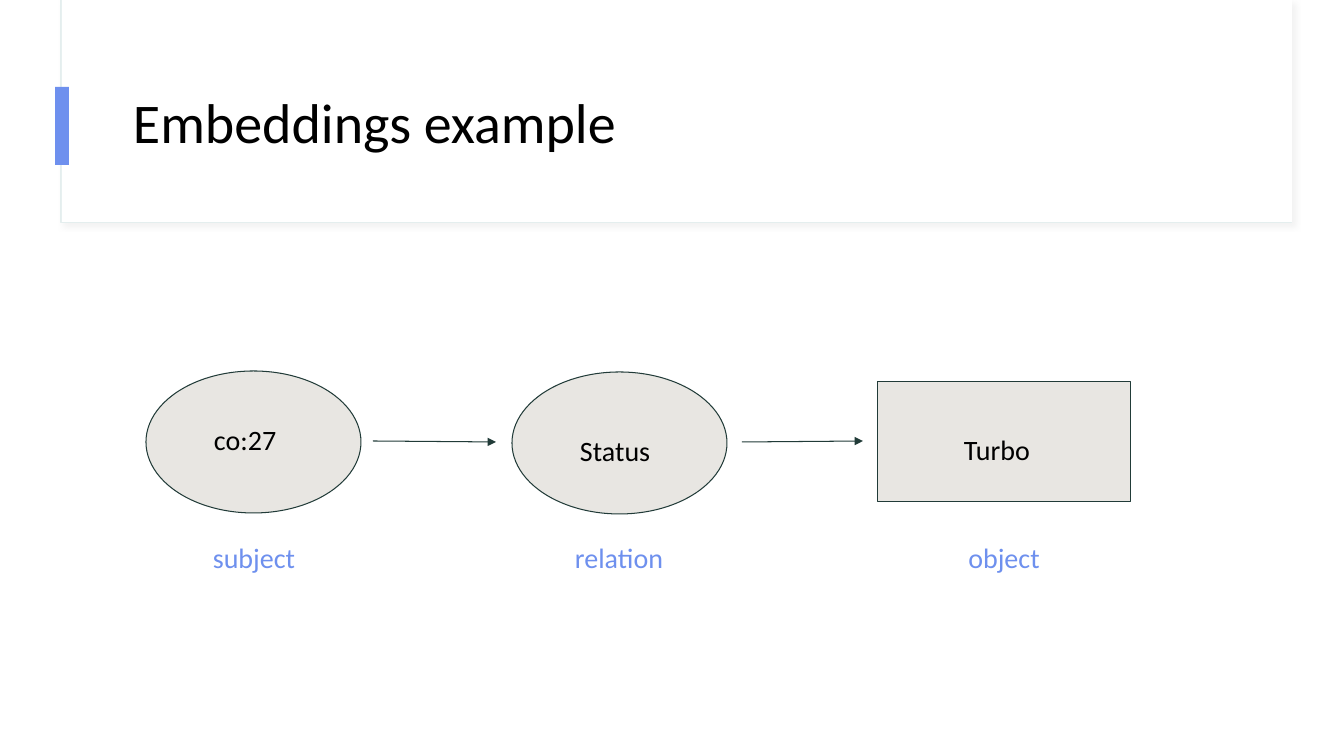
from lxml.etree import SubElement
from pptx import Presentation
from pptx.dml.color import RGBColor
from pptx.enum.shapes import MSO_CONNECTOR, MSO_SHAPE
from pptx.enum.text import MSO_ANCHOR, PP_ALIGN
from pptx.oxml import parse_xml
from pptx.oxml.ns import nsdecls, qn
from pptx.util import Pt

# Content: lengths in px
SCALE = 914400 / 100.8
BLACK, BLUE, DARK, STONE = "000000", "6E90EE", "213B38", "E8E6E2"
WHITE, MINT = "FFFFFF", "E4EEEE"
OVAL, RECT = MSO_SHAPE.OVAL, MSO_SHAPE.RECTANGLE

TITLE = ("Embeddings example", (123, 60, 1121, 130))
PANELS = [((61, 0, 1231, 223), WHITE, MINT),
          ((62, 0, 1230, 222), WHITE, None),
          ((55, 87, 14, 78), BLUE, None)]
# shape, box, name, name's left and top, role, role's left
NODES = [(OVAL, (146, 371, 215, 142), "co:27", (204, 412), "subject", 162),
         (OVAL, (512, 372, 215, 142), "Status", (570, 423), "relation", 527),
         (RECT, (878, 382, 253, 120), "Turbo", (954, 422), "object", 912)]
ARROWS = [(373, 441, 496, 442), (742, 442, 863, 441)]
ROLE_TOP = 530
SHADOW = f"""<a:effectLst {nsdecls('a')}>
<a:outerShdw blurRad="50800" dist="38100" dir="2700000" algn="tl" rotWithShape="0">
<a:srgbClr val="D8D8D8"><a:alpha val="30000"/></a:srgbClr></a:outerShdw></a:effectLst>"""


def emu(box):
    return [round(v * SCALE) for v in box]


def paint(color):
    return RGBColor.from_string(color)


def put(obj, **vals):
    for key, val in vals.items():
        setattr(obj, key, val)


def stroke(line, color):
    line.color.rgb = paint(color)
    line.width = Pt(0.75)


def draw(kind, box, fill, edge):
    item = slide.shapes.add_shape(kind, *emu(box))
    item.shadow.inherit = False
    item.fill.solid()
    item.fill.fore_color.rgb = paint(fill)
    if edge:
        stroke(item.line, edge)
    else:
        item.line.fill.background()
    return item


def write(text, box, color=BLACK, size=20, pad=10, anchor=MSO_ANCHOR.TOP, **para):
    frame = slide.shapes.add_textbox(*emu(box)).text_frame
    side, edge = emu((10, pad))
    put(frame, word_wrap=True, vertical_anchor=anchor, margin_left=side,
        margin_right=side, margin_top=edge, margin_bottom=edge)
    line = frame.paragraphs[0]
    put(line, text=text, **para)
    font = line.runs[0].font
    put(font, name="Calibri", size=Pt(size))
    font.color.rgb = paint(color)


deck = Presentation()
deck.slide_width, deck.slide_height = emu((1344, 756))
slide = deck.slides.add_slide(deck.slide_layouts[6])

# Title panel with its shadow and accent bar
panels = [draw(RECT, *panel) for panel in PANELS]
props = panels[0].element.spPr
props.replace(props.find(qn("a:effectLst")), parse_xml(SHADOW))
write(*TITLE, size=40, pad=5, anchor=MSO_ANCHOR.MIDDLE, line_spacing=0.9)

# Nodes with names inside and roles below
for kind, box, name, spot, role, left in NODES:
    draw(kind, box, STONE, DARK)
    write(name, (*spot, 101, 59))
    write(role, (left, ROLE_TOP, 184, 41), BLUE, alignment=PP_ALIGN.CENTER)

# Arrows between nodes
for ends in ARROWS:
    arrow = slide.shapes.add_connector(MSO_CONNECTOR.STRAIGHT, *emu(ends))
    stroke(arrow.line, DARK)
    SubElement(arrow.line._get_or_add_ln(), qn("a:tailEnd"), type="triangle")
    SubElement(arrow.element.spPr, qn("a:effectLst"))

deck.save("out.pptx")
